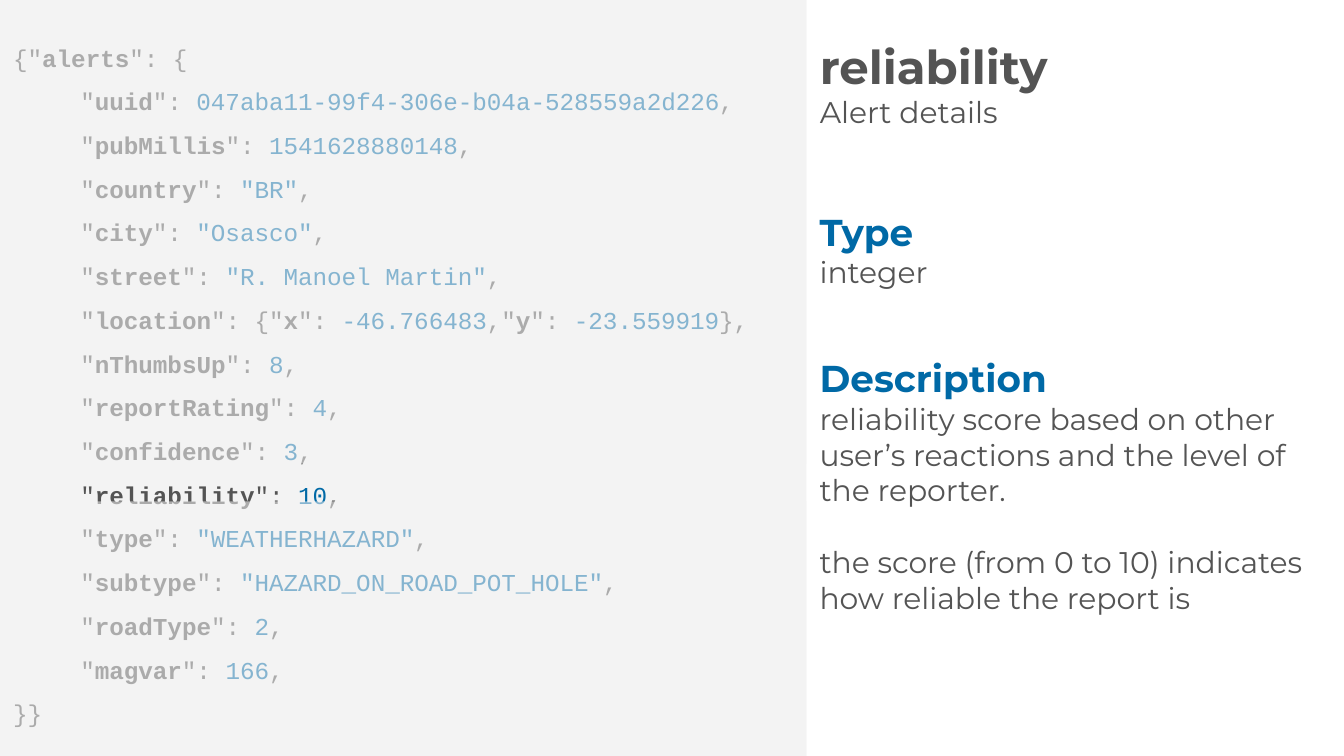
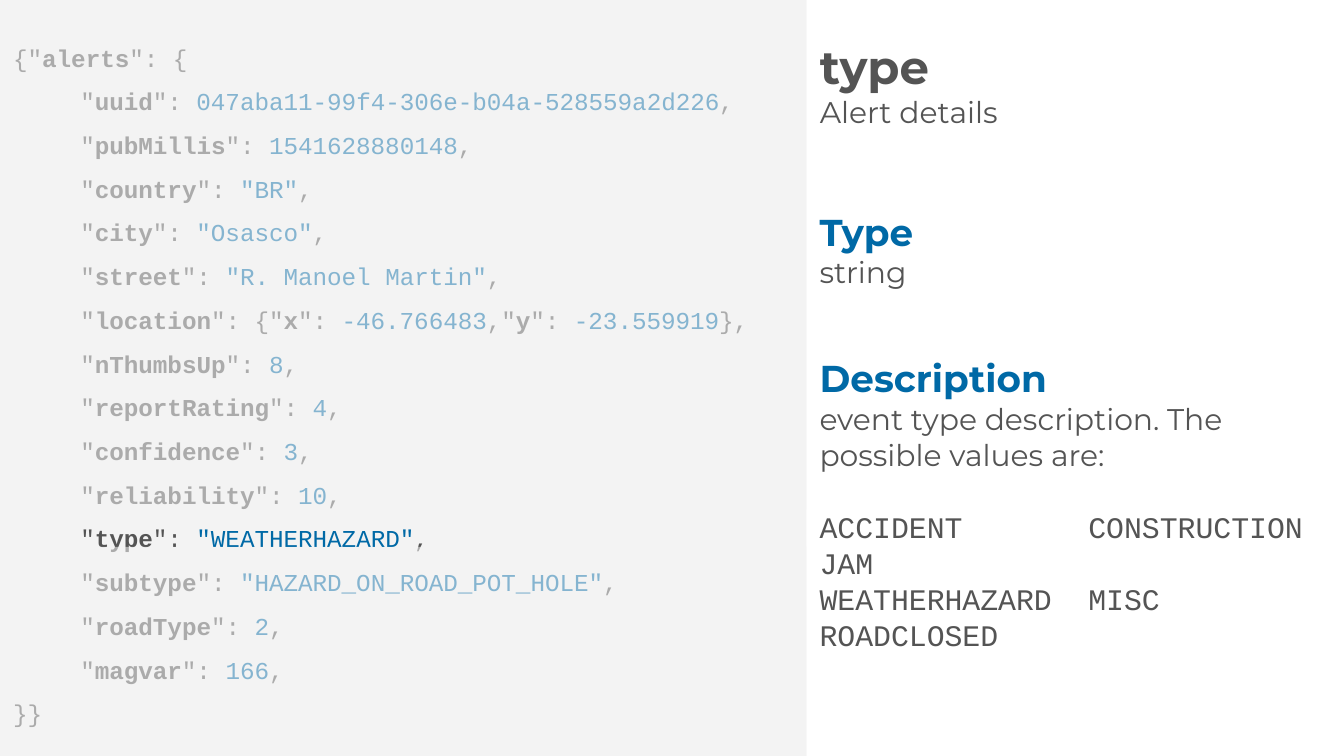
from lxml import etree
from pptx import Presentation
from pptx.dml.color import RGBColor
from pptx.enum.shapes import MSO_SHAPE
from pptx.enum.text import MSO_ANCHOR, MSO_AUTO_SIZE, PP_ALIGN
from pptx.oxml.ns import qn
from pptx.util import Inches, Pt

GREY = RGBColor(0x54, 0x54, 0x54)
BLUE = RGBColor(0x00, 0x69, 0xA6)
PANEL = RGBColor(0xF3, 0xF3, 0xF3)
SANS, MONO = "Montserrat", "Courier New"

WIDTH = 10
HEIGHT = WIDTH * 9 / 16
SPLIT = 0.6 * WIDTH
SIDE = WIDTH - SPLIT
INSET = 0.1
WINDOW = 0.28
FADE = 55
BODY_LINE = Pt(19.3)
VALUE_COLUMN = 2

ALERT = [
    ("uuid", "047aba11-99f4-306e-b04a-528559a2d226"),
    ("pubMillis", "1541628880148"),
    ("country", '"BR"'),
    ("city", '"Osasco"'),
    ("street", '"R. Manoel Martin"'),
    ("location", [("x", "-46.766483"), ("y", "-23.559919")]),
    ("nThumbsUp", "8"),
    ("reportRating", "4"),
    ("confidence", "3"),
    ("reliability", "10"),
    ("type", '"WEATHERHAZARD"'),
    ("subtype", '"HAZARD_ON_ROAD_POT_HOLE"'),
    ("roadType", "2"),
    ("magvar", "166"),
]

# field, data type, top of its highlight window, description, possible values
FIELDS = [
    ("reliability", "integer", 3.45,
     ["reliability score based on other user’s reactions and the level of the reporter.",
      "the score (from 0 to 10) indicates how reliable the report is"], []),
    ("type", "string", 3.79,
     ["event type description. The possible values are:"],
     ["ACCIDENT\tCONSTRUCTION", "JAM", "WEATHERHAZARD\tMISC", "ROADCLOSED"]),
]


def set_font(font, size, color=GREY, bold=False, name=SANS):
    font.name, font.size, font.bold = name, Pt(size), bold
    font.color.rgb = color


def set_frame(tf, anchor=MSO_ANCHOR.TOP):
    tf.word_wrap = True
    tf.auto_size = MSO_AUTO_SIZE.NONE
    tf.vertical_anchor = anchor
    tf.margin_left = tf.margin_right = tf.margin_top = tf.margin_bottom = Inches(INSET)


def add_paragraph(tf, text=""):
    """Use the first paragraph while it is empty, else append one."""
    first = tf.paragraphs[0]
    p = tf.add_paragraph() if first.runs else first
    p.alignment = PP_ALIGN.LEFT
    if text:
        p.add_run().text = text
    return p


def add_panel(s, top, height):
    sp = s.shapes.add_shape(MSO_SHAPE.RECTANGLE, 0, Inches(top), Inches(SPLIT), Inches(height))
    sp.shadow.inherit = False
    sp.fill.solid()
    sp.fill.fore_color.rgb = PANEL
    sp.line.fill.background()
    return sp


def add_veil(s, top, height):
    """Translucent panel that fades the code outside the highlight window."""
    sp = add_panel(s, top, height)
    color = sp._element.spPr.find(qn("a:solidFill"))[0]
    etree.SubElement(color, qn("a:alpha")).set("val", str(FADE * 1000))


def add_code_run(p, text, bold=False, color=GREY):
    r = p.add_run()
    r.text = text
    r.font.bold = bold
    r.font.color.rgb = color


def add_pair(p, key, value):
    add_code_run(p, '"')
    add_code_run(p, key, bold=True)
    add_code_run(p, '": ')
    if isinstance(value, str):
        add_code_run(p, value, color=BLUE)
        return
    add_code_run(p, "{")
    for i, (inner_key, inner_value) in enumerate(value):
        if i:
            add_code_run(p, ",")
        add_pair(p, inner_key, inner_value)
    add_code_run(p, "}")


def add_code(s):
    tf = add_panel(s, 0, HEIGHT).text_frame
    set_frame(tf, MSO_ANCHOR.MIDDLE)
    p = add_paragraph(tf, '{"')
    add_code_run(p, "alerts", bold=True)
    add_code_run(p, '": {')
    for key, value in ALERT:
        p = add_paragraph(tf)
        p._p.get_or_add_pPr().set("marL", str(Inches(0.5)))
        add_pair(p, key, value)
        add_code_run(p, ",")
    add_paragraph(tf, "}}")
    for p in tf.paragraphs:
        p.line_spacing = 1.5
        set_font(p.font, 13, name=MONO)


def add_title(s, field):
    sp = s.shapes.title
    sp.left, sp.top, sp.width, sp.height = (Inches(v) for v in (SPLIT, 0.16, SIDE, 0.92))
    tf = sp.text_frame
    set_frame(tf, MSO_ANCHOR.MIDDLE)
    set_font(add_paragraph(tf, field).font, 25, bold=True)
    set_font(add_paragraph(tf, "Alert details").font, 16)


def add_text(s, top, width, height, lines, size=16, **style):
    box = s.shapes.add_textbox(Inches(SPLIT), Inches(top), Inches(width), Inches(height))
    tf = box.text_frame
    set_frame(tf)
    for i, line in enumerate(lines):
        p = add_paragraph(tf, line)
        set_font(p.font, size, **style)
        if i:
            p.space_before = BODY_LINE
    return tf


def add_heading(s, top, text):
    add_text(s, top, 1.93, 0.5, [text], 20, color=BLUE, bold=True)


def add_tab_stop(p, position):
    tabs = etree.Element(qn("a:tabLst"))
    etree.SubElement(tabs, qn("a:tab"), pos=str(Inches(position)), algn="l")
    p._p.pPr.find(qn("a:defRPr")).addprevious(tabs)


def add_values(tf, rows):
    for i, row in enumerate(rows):
        p = add_paragraph(tf, row)
        set_font(p.font, 16, name=MONO)
        p.line_spacing = BODY_LINE
        p.space_before = Pt(0) if i else BODY_LINE
        add_tab_stop(p, VALUE_COLUMN)


def add_field_slide(prs, field, data_type, window_top, description, values):
    s = prs.slides.add_slide(prs.slide_layouts[5])
    add_code(s)
    window_end = window_top + WINDOW
    add_veil(s, 0, window_top)
    add_veil(s, window_end, HEIGHT - window_end)
    add_title(s, field)
    add_heading(s, 1.46, "Type")
    add_text(s, 1.79, 0.9 * SIDE, 0.87, [data_type])
    add_heading(s, 2.54, "Description")
    tf = add_text(s, 2.88, SIDE, 1.83 if values else 0.87, description)
    add_values(tf, values)


def main():
    prs = Presentation()
    prs.slide_width, prs.slide_height = Inches(WIDTH), Inches(HEIGHT)
    for field in FIELDS:
        add_field_slide(prs, *field)
    prs.save("out.pptx")


if __name__ == "__main__":
    main()
